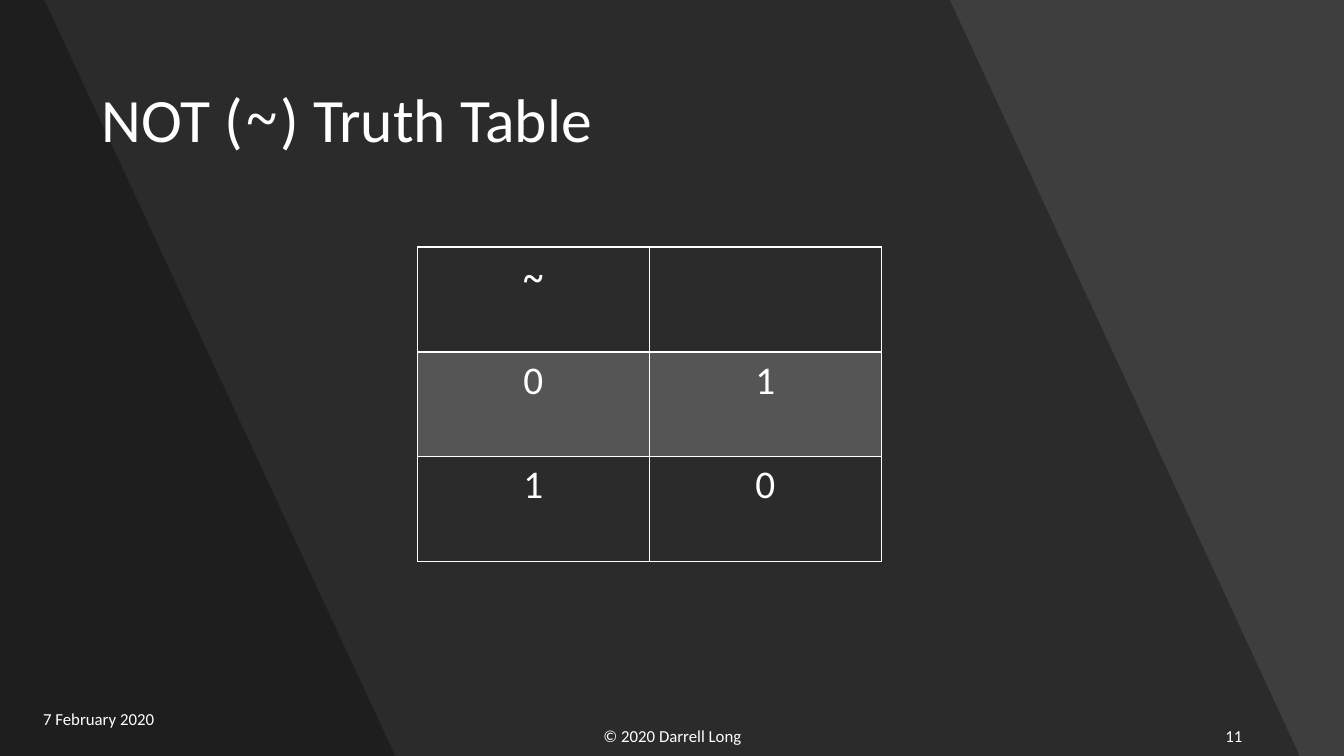
from dataclasses import dataclass
from typing import Any

from lxml.etree import SubElement
from pptx import Presentation
from pptx.dml.color import RGBColor
from pptx.enum.text import MSO_ANCHOR as Anchor, MSO_AUTO_SIZE as AutoSize, PP_ALIGN as Align
from pptx.oxml.ns import qn
from pptx.util import Inches, Pt

COLORS = {"background": "454545", "shade": "000000", "light": "FFFFFF"}
TEXT_FONT = "Calibri"
SYMBOL_FONT = "Noto Sans Mono"
SLIDE_WIDTH, SLIDE_HEIGHT = 13.33, 7.5


@dataclass(frozen=True)
class Band:
    top_width: float
    bottom_width: float
    opacity: int


@dataclass(frozen=True)
class FooterText:
    text: str
    left: float
    top: float
    width: float
    alignment: Align


BANDS = [
    Band(SLIDE_WIDTH, SLIDE_WIDTH, 9),
    Band(9.42, 12.89, 30),
    Band(0.44, 3.92, 30),
]
FOOTERS = [
    FooterText("© 2020 Darrell Long", 4.42, 7.1, 4.5, Align.CENTER),
    FooterText("11", 9.42, 7.1, 3, Align.RIGHT),
    FooterText("7 February 2020", 0.33, 6.93, 1.46, Align.LEFT),
]
TITLE_PARTS = [("NOT (", TEXT_FONT), ("~", SYMBOL_FONT), (") Truth Table", TEXT_FONT)]
TRUTH_ROWS = [["~", ""], ["0", "1"], ["1", "0"]]
COLUMN_WIDTH, ROW_HEIGHT = 2.3, 1.04


def color(name: str) -> RGBColor:
    return RGBColor.from_string(COLORS[name])


def apply_format(target: Any, values: dict[str, Any]) -> None:
    for name, value in values.items():
        setattr(target, name, value)


def add_run(paragraph: Any, text: str, size: int, font: str = TEXT_FONT, bold: bool = False) -> None:
    run = paragraph.add_run()
    run.text = text
    apply_format(run.font, {"name": font, "size": Pt(size), "bold": bold})
    run.font.color.rgb = color("light")


def fill_translucent(fill: Any, properties: Any, name: str, opacity: int) -> None:
    fill.solid()
    fill.fore_color.rgb = color(name)
    color_element = properties.find(f"{qn('a:solidFill')}/{qn('a:srgbClr')}")
    SubElement(color_element, qn("a:alpha"), val=str(opacity * 1000))


def add_band(slide: Any, band: Band) -> None:
    builder = slide.shapes.build_freeform(0, 0)
    corners = [(band.top_width, 0), (band.bottom_width, SLIDE_HEIGHT), (0, SLIDE_HEIGHT)]
    builder.add_line_segments([(Inches(x), Inches(y)) for x, y in corners], close=True)
    shape = builder.convert_to_shape()
    shape.shadow.inherit = False
    shape.line.fill.background()
    fill_translucent(shape.fill, shape.element.spPr, "shade", band.opacity)


def format_title(title: Any) -> None:
    apply_format(title, {"left": Inches(0.91), "top": Inches(0.49),
                         "width": Inches(11.51), "height": Inches(1.45)})
    apply_format(title.text_frame, {"word_wrap": True, "auto_size": AutoSize.NONE,
                                    "vertical_anchor": Anchor.MIDDLE})
    paragraph = title.text_frame.paragraphs[0]
    apply_format(paragraph, {"alignment": Align.LEFT, "line_spacing": 0.9})
    for text, font in TITLE_PARTS:
        add_run(paragraph, text, 44, font)


def add_footer(slide: Any, footer: FooterText) -> None:
    box = slide.shapes.add_textbox(Inches(footer.left), Inches(footer.top),
                                   Inches(footer.width), Inches(0.4))
    apply_format(box.text_frame, {"word_wrap": True, "vertical_anchor": Anchor.MIDDLE})
    paragraph = box.text_frame.paragraphs[0]
    paragraph.alignment = footer.alignment
    add_run(paragraph, footer.text, 12)


def add_borders(properties: Any, widths: dict[str, int]) -> None:
    for side, width in widths.items():
        border = SubElement(properties, qn(f"a:ln{side}"), w=str(Pt(width)))
        solid = SubElement(border, qn("a:solidFill"))
        SubElement(solid, qn("a:srgbClr"), val=COLORS["light"])


def add_truth_table(slide: Any) -> None:
    row_count, column_count = len(TRUTH_ROWS), len(TRUTH_ROWS[0])
    frame = slide.shapes.add_table(row_count, column_count, Inches(4.14), Inches(2.45),
                                   Inches(COLUMN_WIDTH * column_count),
                                   Inches(ROW_HEIGHT * row_count))
    table = frame.table
    apply_format(table, {"first_row": False, "horz_banding": False})
    for row_index, values in enumerate(TRUTH_ROWS):
        is_header = row_index == 0
        for column_index, value in enumerate(values):
            cell = table.cell(row_index, column_index)
            properties = cell._tc.get_or_add_tcPr()
            add_borders(properties, {"L": 1, "R": 1, "T": 2 if row_index == 1 else 1,
                                     "B": 2 if is_header else 1})
            if row_index == 1:
                fill_translucent(cell.fill, properties, "light", 20)
            else:
                cell.fill.background()
            if value:
                paragraph = cell.text_frame.paragraphs[0]
                paragraph.alignment = Align.CENTER
                add_run(paragraph, value, 28, SYMBOL_FONT if is_header else TEXT_FONT, is_header)


def main() -> None:
    presentation = Presentation()
    apply_format(presentation, {"slide_width": Inches(SLIDE_WIDTH),
                                "slide_height": Inches(SLIDE_HEIGHT)})
    slide = presentation.slides.add_slide(presentation.slide_layouts[5])
    slide.background.fill.solid()
    slide.background.fill.fore_color.rgb = color("background")
    title = slide.shapes.title
    for band in BANDS:
        add_band(slide, band)
    slide.shapes._spTree.append(title.element)
    format_title(title)
    add_truth_table(slide)
    for footer in FOOTERS:
        add_footer(slide, footer)
    presentation.save("out.pptx")


if __name__ == "__main__":
    main()
